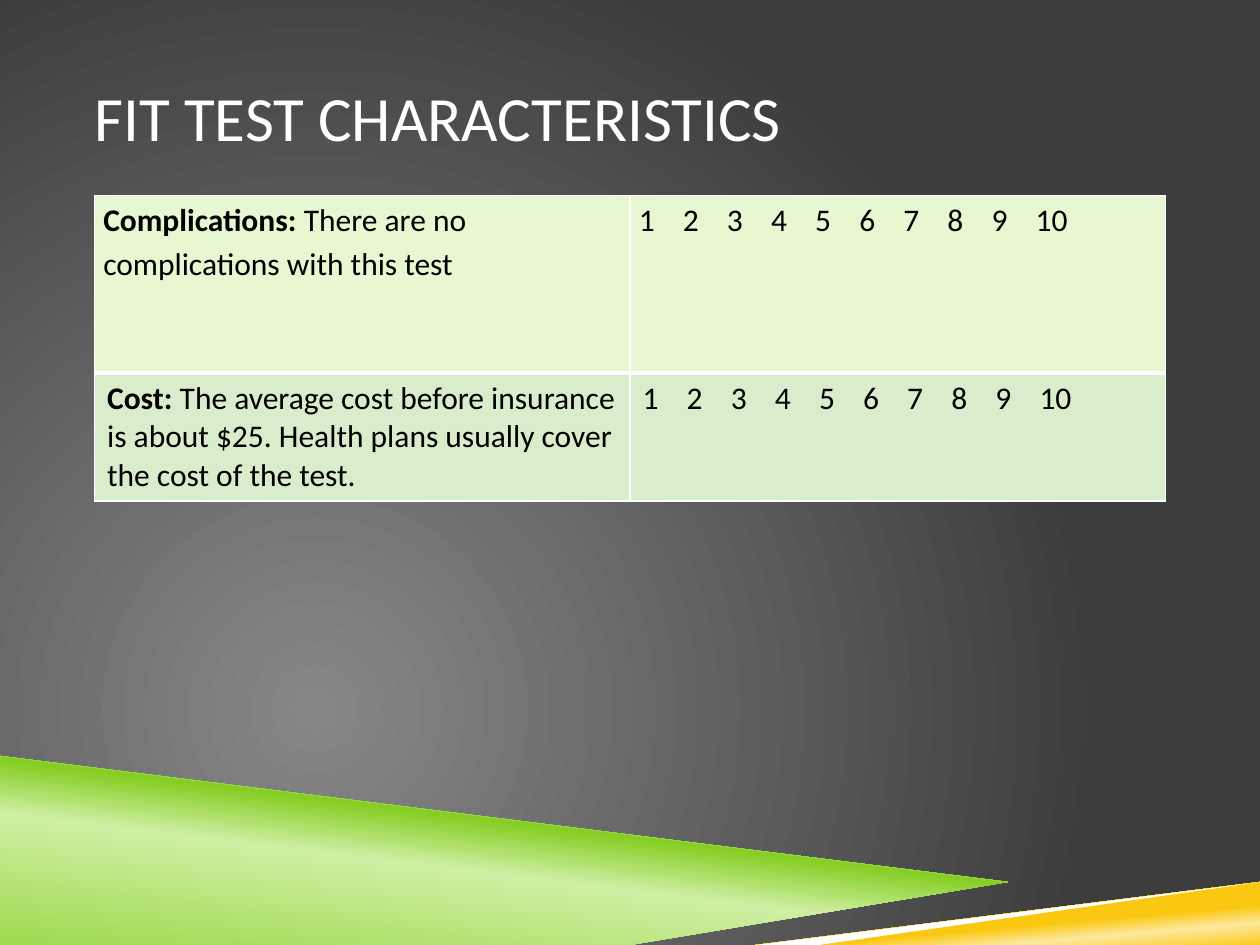
from lxml.etree import SubElement
from pptx import Presentation
from pptx.dml.color import RGBColor
from pptx.enum.text import MSO_ANCHOR, PP_ALIGN
from pptx.oxml.ns import qn
from pptx.util import Emu, Inches, Pt


def paint(fill, color):
    fill.solid()
    fill.fore_color.rgb = RGBColor.from_string(color)


def set_gradient(fill, owner, stops, angle=None):
    """Linear gradient at angle, or a circle centred low on the left."""
    fill.gradient()
    grad = next(owner.iter(qn("a:gradFill")))
    for child in list(grad):
        grad.remove(child)
    gs_lst = SubElement(grad, qn("a:gsLst"))
    for pos, color in stops:
        gs = SubElement(gs_lst, qn("a:gs"), pos=str(pos * 1000))
        SubElement(gs, qn("a:srgbClr"), val=color)
    if angle is None:
        circle = SubElement(grad, qn("a:path"), path="circle")
        SubElement(circle, qn("a:fillToRect"), l="50000", t="100000", r="100000", b="50000")
    else:
        SubElement(grad, qn("a:lin"), ang=str(angle * 60000), scaled="0")


prs = Presentation()
prs.slide_width, prs.slide_height = Inches(10), Inches(7.5)
W, H = prs.slide_width, prs.slide_height
s = prs.slides.add_slide(prs.slide_layouts[5])
set_gradient(s.background.fill, s._element, [(0, "878787"), (100, "3D3D3D")])

# Coloured wedges and their white edges along the bottom
YELLOW = [(28, "FAC810"), (40, "FDE99F"), (48, "FAC810")]
GREEN = [(0, "86CE24"), (52, "CFEFA4"), (66, "86CE24")]
wedges = [
    ([(1.98, 7.5), (10, 6.72), (10, 7.5)], YELLOW, 265),
    ([(0, 5.97), (7.92, 6.92), (2, 7.5), (0, 7.5)], GREEN, 277),
    ([(0, 5.92), (0, 6), (7.9, 6.93), (8.32, 6.9)], "FFFFFF", None),
    ([(10, 6.69), (1.84, 7.5), (2.66, 7.5), (10, 6.77)], "FFFFFF", None),
]
for points, color, angle in wedges:
    builder = s.shapes.build_freeform(*points[0], scale=Inches(1))
    builder.add_line_segments(points[1:], close=True)
    sp = builder.convert_to_shape()
    sp.shadow.inherit = False
    sp.line.fill.background()
    if angle is None:
        paint(sp.fill, color)
    else:
        set_gradient(sp.fill, sp._element, color, angle)

# Title
left, width = int(W * 0.075), int(W * 0.85)
title = s.shapes.title
title.left, title.top, title.width, title.height = left, int(H * 0.04), width, Inches(1.25)
tf = title.text_frame
tf.margin_left = tf.margin_right = 0
tf.vertical_anchor = MSO_ANCHOR.MIDDLE
p = tf.paragraphs[0]
p.alignment = PP_ALIGN.LEFT
r = p.add_run()
r.text = "FIT TEST CHARACTERISTICS"
r.font.name, r.font.size = "Calibri", Pt(36)
r.font.color.rgb = RGBColor.from_string("FFFFFF")

# Rating table
scale = [("\t".join(str(n) for n in range(1, 11)), False)]
rows = [
    ([("Complications: ", True), ("There are no complications with this test", False)],
     "E7F7D1", 1.41, 1.15, (0.07, 0), {"L": 1, "R": 1, "T": 1, "B": 3}),
    ([("Cost: ", True), ("The average cost before insurance is about $25. "
                         "Health plans usually cover the cost of the test.", False)],
     "D9EDCD", 1, 1, (0.1, 0.05), {"L": 1, "R": 1, "T": 3, "B": 1}),
]
table = s.shapes.add_table(2, 2, left, Inches(1.55), width, Inches(2.41)).table
table.first_row = table.horz_banding = False
for i, (statement, color, height, spacing, (mx, my), borders) in enumerate(rows):
    table.rows[i].height = Inches(height)
    for j, runs in enumerate([statement, scale]):
        cell = table.cell(i, j)
        cell.margin_left = cell.margin_right = Inches(mx)
        cell.margin_top = cell.margin_bottom = Inches(my)
        tcPr = cell._tc.get_or_add_tcPr()
        for side, points in borders.items():
            ln = SubElement(tcPr, qn(f"a:ln{side}"), w=str(Pt(points)))
            SubElement(SubElement(ln, qn("a:solidFill")), qn("a:srgbClr"), val="FFFFFF")
        paint(cell.fill, color)
        p = cell.text_frame.paragraphs[0]
        if runs is scale:
            tabs = SubElement(p._p.get_or_add_pPr(), qn("a:tabLst"))
            for n in range(1, 10):
                SubElement(tabs, qn("a:tab"), pos=str(Emu(Inches(0.35) * n)), algn="l")
        p.line_spacing = spacing
        for text, bold in runs:
            r = p.add_run()
            r.text = text
            r.font.name, r.font.size, r.font.bold = "Calibri", Pt(18), bold
            r.font.color.rgb = RGBColor.from_string("000000")

prs.save("out.pptx")
